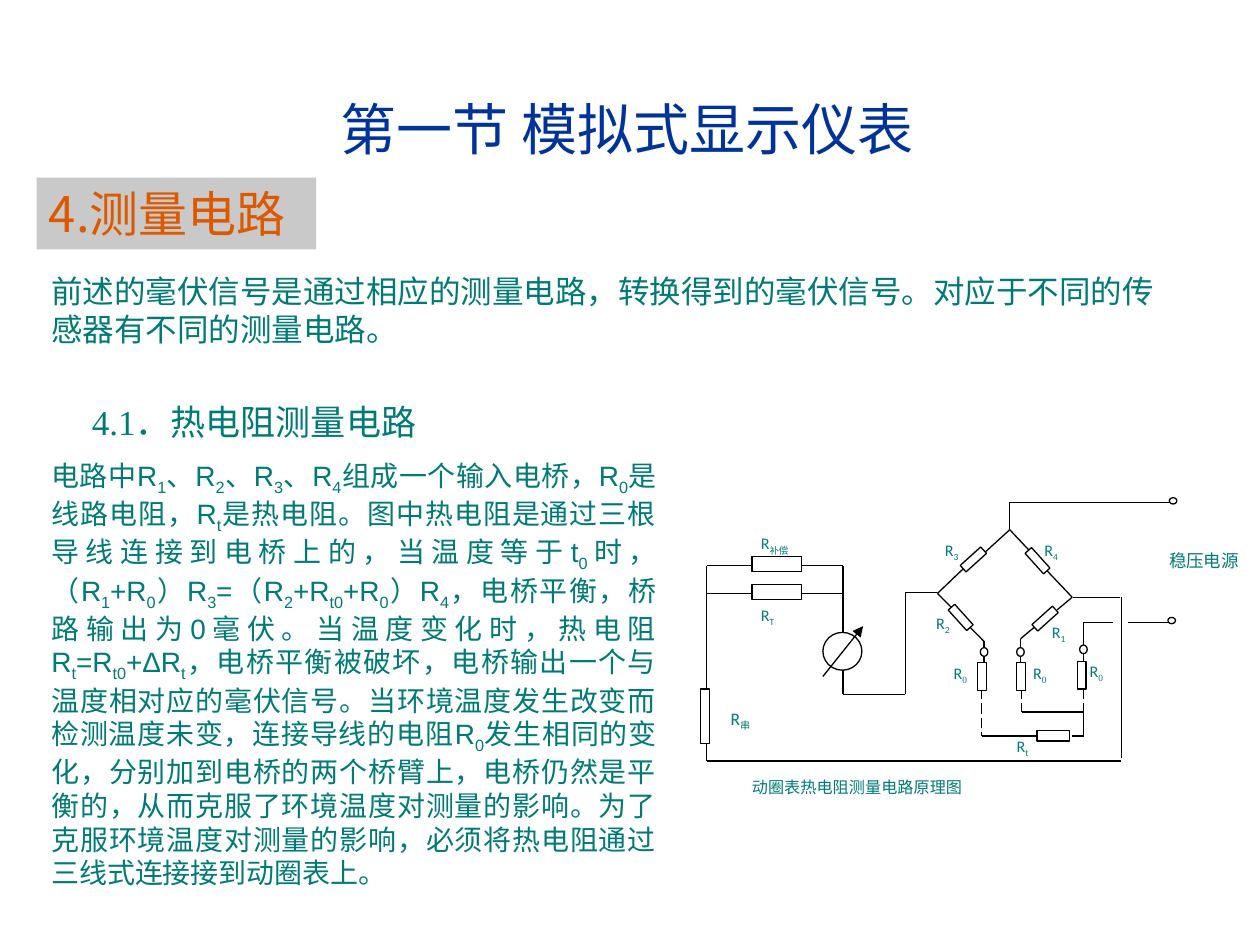
from itertools import pairwise
from lxml import etree
from pptx import Presentation
from pptx.dml.color import RGBColor
from pptx.enum import dml, shapes, text
from pptx.oxml.ns import qn
from pptx.util import Pt

TEAL, BLACK, WHITE = "007A77", "000000", "FFFFFF"
CHINESE_FONT = "Noto Sans CJK SC"
TITLE = "第一节 模拟式显示仪表"
HEADING = "4.测量电路"
INTRO = "前述的毫伏信号是通过相应的测量电路，转换得到的毫伏信号。对应于不同的传感器有不同的测量电路。"
SUBHEADING = "4.1．热电阻测量电路"
BODY = (
    "电路中R|1|、R|2|、R|3|、R|4|组成一个输入电桥，R|0|是线路电阻，R|t|是热电阻。"
    "图中热电阻是通过三根导线连接到电桥上的，当温度等于t|0|时，"
    "（R|1|+R|0|）R|3|=（R|2|+R|t0|+R|0|）R|4|，电桥平衡，桥路输出为0毫伏。"
    "当温度变化时，热电阻R|t|=R|t0|+ΔR|t|，电桥平衡被破坏，电桥输出一个与温度相对应的毫伏信号。"
    "当环境温度发生改变而检测温度未变，连接导线的电阻R|0|发生相同的变化，"
    "分别加到电桥的两个桥臂上，电桥仍然是平衡的，从而克服了环境温度对测量的影响。"
    "为了克服环境温度对测量的影响，必须将热电阻通过三线式连接接到动圈表上。"
)
SOLID_WIRES = [
    [(429.8, 323.3), (403.9, 323.3), (403.9, 434.9), (640.8, 434.9)],
    [(457.9, 323.3), (481.7, 323.3), (481.7, 361.4)],
    [(403.9, 339.1), (429.8, 339.1)],
    [(457.9, 339.1), (481.7, 339.1)],
    [(481.7, 375.8), (481.7, 396.7), (517.4, 396.7), (517.4, 338.4), (535.7, 338.4)],
    [(640.8, 341.3), (640.8, 433.4)],
    [(668.2, 287.3), (576.7, 287.3), (576.7, 303)],
    [(535.7, 339.1), (550.8, 324.7)],
    [(562.3, 316.1), (576.7, 303)],
    [(576.7, 302.4), (588.2, 314.6)],
    [(597.6, 325.4), (612.7, 341.3)],
    [(535.7, 339.1), (543.6, 347)],
    [(553.7, 357.8), (562.3, 366.5), (562.3, 378)],
    [(612.7, 341.3), (604.1, 348.5)],
    [(591.8, 357.8), (583.2, 365), (583.2, 378)],
    [(613.4, 341.3), (640.1, 341.3)],
    [(635.8, 355.7), (619.2, 355.7), (619.2, 378)],
    [(668.2, 355.7), (644.4, 355.7)],
    [(583.9, 406.8), (619.2, 406.8), (619.2, 421.2)],
    [(619.2, 420.5), (612.7, 420.5)],
    [(591.8, 420.5), (560.9, 420.5)],
]
DASHED_WIRES = [
    [(583.9, 393.8), (583.9, 406.8)],
    [(619.2, 393.8), (619.2, 408.2)],
    [(560.9, 393.8), (560.9, 420.5)],
]
METER_NEEDLE = [(470.2, 386.6), (493.2, 357.8)]
RESISTORS = [
    (400.3, 393.8, 5, 31, 0),
    (429.8, 318.2, 28.1, 8.6, 0), (429.8, 334.1, 28.1, 8.6, 0),
    (590.4, 312.5, 5, 15.8, 318), (546.5, 344.9, 5, 15.8, 318),
    (594.7, 345.6, 5, 15.8, 48), (553.7, 311.8, 5, 15.8, 48),
    (558.7, 378.7, 5, 15.8, 0), (581, 378.7, 5, 15.8, 0), (615.6, 378, 5, 15.8, 0),
    (592.6, 417.6, 18.7, 5.8, 0),
]
CIRCLES = [
    (470.2, 361.4, 22.3, 21.6),
    (668.2, 284.4, 4.3, 3.6), (667.4, 352.8, 4.3, 3.6),
    (560.2, 370.1, 4.3, 5), (581, 370.1, 4.3, 5), (617, 368.6, 4.3, 5),
]
SMALL_LABELS = [
    ("R|补偿", 427.7, 301.7, 39.6), ("R|T", 427.7, 342.7, 33.8),
    ("R|3", 532.8, 305.3, 25.2), ("R|4", 589.7, 305.3, 25.2),
    ("R|2", 527.8, 347, 25.2), ("R|1", 594, 352.1, 25.2),
    ("R|0", 537.8, 375.8, 25.2), ("R|0", 583.2, 375.8, 25.2), ("R|0", 615.6, 374.4, 25.2),
    ("R|t", 573.8, 417.6, 25.2),
    ("动圈表热电阻测量电路原理图", 422.6, 442.1, 210.2),
]
LARGE_LABELS = [("稳压电源", 661, 311, 61.9), ("R|串", 410.4, 401, 34.6)]


def rgb(value):
    return RGBColor.from_string(value)


def write(shape, content, size, font, color=TEAL, align=text.PP_ALIGN.LEFT, spacing=None):
    paragraph = shape.text_frame.paragraphs[0]
    paragraph.alignment = align
    if spacing:
        paragraph.line_spacing = spacing
    paragraph.font.size = Pt(size)
    paragraph.font.name = font
    paragraph.font.color.rgb = rgb(color)
    for index, part in enumerate(content.split("|")):
        run = paragraph.add_run()
        run.text = part
        properties = run._r.get_or_add_rPr()
        if index % 2:
            properties.set("baseline", "-25000")
            if font == "Calibri" and part == "0":
                run.font.name = "Times New Roman"
        etree.SubElement(properties, qn("a:ea")).set("typeface", CHINESE_FONT)


def add_text(slide, box, content, size, font, anchor=text.MSO_ANCHOR.TOP, **style):
    shape = slide.shapes.add_textbox(*map(Pt, box))
    shape.text_frame.word_wrap = True
    shape.text_frame.vertical_anchor = anchor
    write(shape, content, size, font, **style)


def add_line(slide, start, end, dash=None):
    line = slide.shapes.add_connector(shapes.MSO_CONNECTOR.STRAIGHT, *map(Pt, start + end))
    line.line.color.rgb = rgb(BLACK)
    line.line.width = Pt(0.75)
    if dash:
        line.line.dash_style = dash
    etree.SubElement(line._element.spPr, qn("a:effectLst"))
    return line


def add_part(slide, kind, box, fill=WHITE, outlined=True):
    shape = slide.shapes.add_shape(kind, *map(Pt, box))
    shape.shadow.inherit = False
    shape.fill.solid()
    shape.fill.fore_color.rgb = rgb(fill)
    if outlined:
        shape.line.color.rgb = rgb(BLACK)
        shape.line.width = Pt(0.75)
    else:
        shape.line.fill.background()
    return shape


def add_heading(slide):
    shape = add_part(slide, shapes.MSO_SHAPE.RECTANGLE, (20.9, 101.5, 159.8, 41), "C0C0C0", False)
    color = shape.fill._xPr.find(".//" + qn("a:srgbClr"))
    etree.SubElement(color, qn("a:alpha")).set("val", "85000")
    shape.text_frame.word_wrap = False
    shape.text_frame.vertical_anchor = text.MSO_ANCHOR.TOP
    write(shape, HEADING, 28, CHINESE_FONT, "DC5900", text.PP_ALIGN.JUSTIFY)


def add_circuit(slide):
    for wires, dash in ((SOLID_WIRES, None), (DASHED_WIRES, dml.MSO_LINE.LONG_DASH)):
        for wire in wires:
            for start, end in pairwise(wire):
                add_line(slide, start, end, dash)
    for *box, rotation in RESISTORS:
        add_part(slide, shapes.MSO_SHAPE.RECTANGLE, box).rotation = rotation
    for box in CIRCLES:
        add_part(slide, shapes.MSO_SHAPE.OVAL, box)
    needle = add_line(slide, *METER_NEEDLE)
    etree.SubElement(needle.line._get_or_add_ln(), qn("a:tailEnd")).set("type", "triangle")
    for labels, size, spacing in ((SMALL_LABELS, 9.2, 0.9), (LARGE_LABELS, 10, None)):
        for content, left, top, width in labels:
            add_text(slide, (left, top, width, 20.2), content, size, "Calibri",
                     align=text.PP_ALIGN.JUSTIFY, spacing=spacing)


def main():
    presentation = Presentation()
    presentation.slide_width, presentation.slide_height = Pt(720), Pt(540)
    slide = presentation.slides.add_slide(presentation.slide_layouts[5])
    title = slide.shapes.title
    title.left, title.top, title.width, title.height = map(Pt, (22.3, 28.1, 672.5, 90))
    title.text_frame.vertical_anchor = text.MSO_ANCHOR.MIDDLE
    write(title, TITLE, 32, "Arial", "003399", text.PP_ALIGN.CENTER)
    add_heading(slide)
    add_text(slide, (22.3, 151.9, 658.1, 50.4), INTRO, 18, "Arial")
    add_text(slide, (45.4, 213.1, 224.6, 55.4), SUBHEADING, 20, "Times New Roman",
             anchor=text.MSO_ANCHOR.MIDDLE)
    add_circuit(slide)
    add_text(slide, (22.3, 258.5, 360, 253.4), BODY, 16, "Arial", align=text.PP_ALIGN.JUSTIFY)
    presentation.save("out.pptx")


if __name__ == "__main__":
    main()
